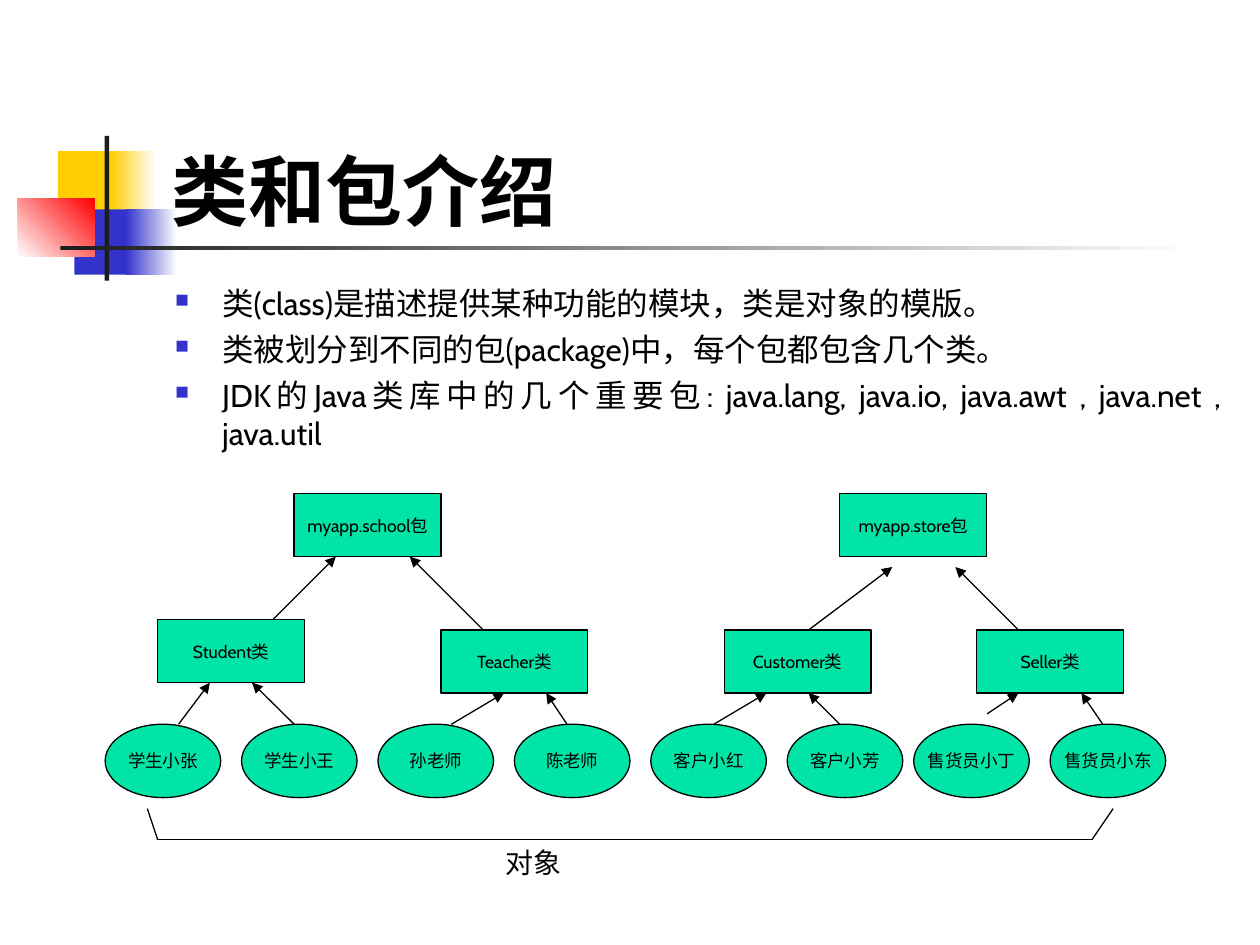
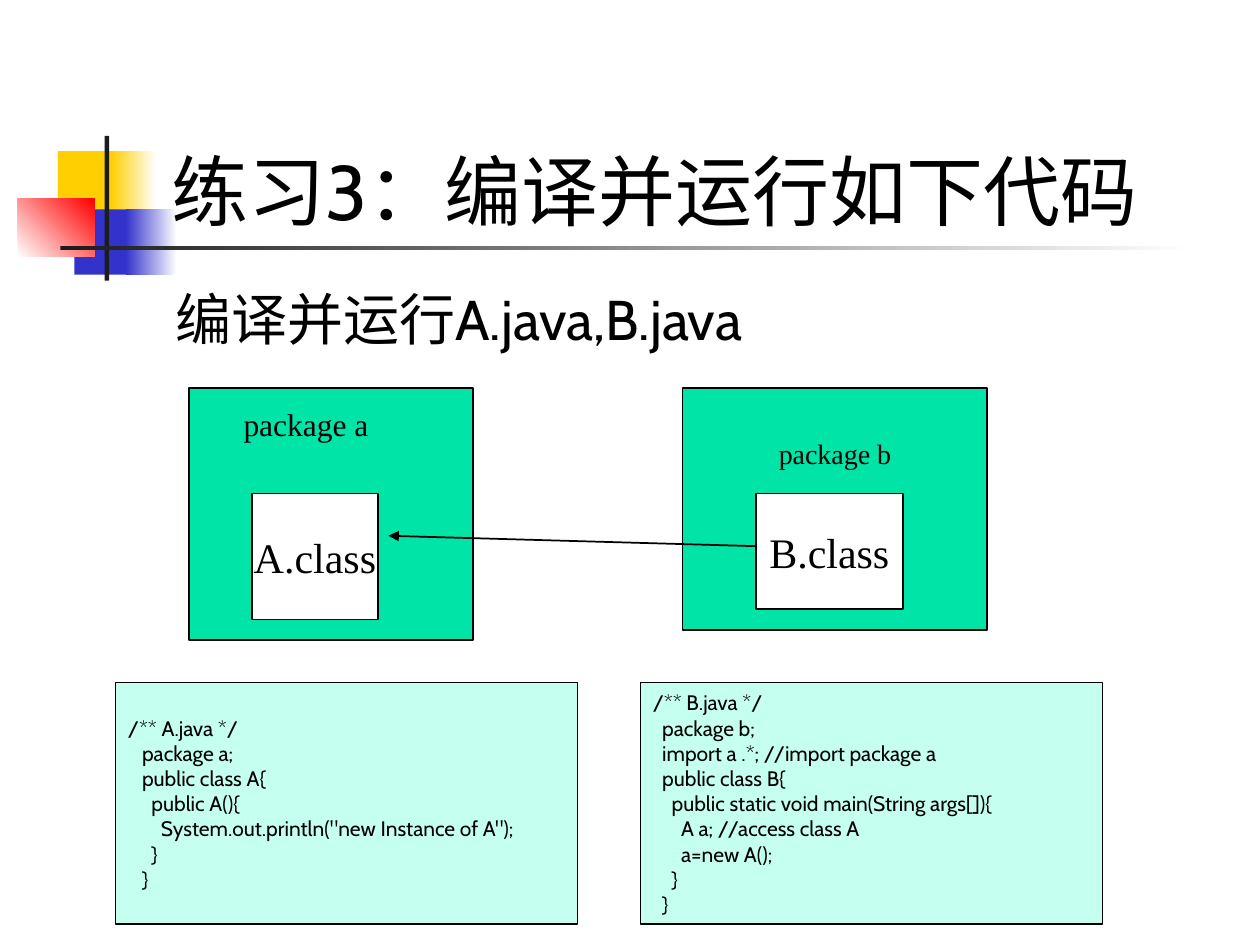
from dataclasses import dataclass
from itertools import pairwise

from lxml.etree import SubElement
from pptx import Presentation
from pptx.dml.color import RGBColor
from pptx.enum.shapes import MSO_CONNECTOR as Connector, MSO_SHAPE as Preset
from pptx.enum.text import MSO_ANCHOR as Anchor, PP_ALIGN as Align
from pptx.oxml.ns import qn
from pptx.shapes.autoshape import Shape
from pptx.slide import Slide
from pptx.util import Cm, Pt

COLORS = {
    "black": "000000",
    "white": "FFFFFF",
    "ink": "1C1C1C",
    "yellow": "FFCF01",
    "blue": "3333CC",
    "red": "FF0000",
    "green": "00E4A8",
    "mint": "C5FFF0",
}
SANS = "Cabin"
SERIF = "Times New Roman"

Point = tuple[float, float]


@dataclass(frozen=True)
class Area:
    """Left, top, width and height in centimetres."""
    left: float
    top: float
    width: float
    height: float

    def lengths(self) -> tuple[Cm, Cm, Cm, Cm]:
        return Cm(self.left), Cm(self.top), Cm(self.width), Cm(self.height)


@dataclass(frozen=True)
class TextStyle:
    size: float
    font: str = SANS
    bold: bool = False
    align: Align = Align.LEFT
    anchor: Anchor = Anchor.TOP
    wrap: bool = True
    space_before: float = 0
    bullet: bool = False


@dataclass(frozen=True)
class BandPart:
    area: Area
    start: str
    end: str | None = None
    angle: float = 0


@dataclass(frozen=True)
class ClassNode:
    """A class box with the left edge of its pair of objects."""
    name: str
    left: float
    top: float
    objects_left: float
    objects: tuple[str, str]


@dataclass(frozen=True)
class PackageBox:
    area: Area
    label: str
    label_area: Area
    label_size: float
    class_name: str
    class_area: Area


BAND = [
    BandPart(Area(1.17, 3.05, 1.22, 1.32), "yellow"),
    BandPart(Area(2.24, 3.05, 0.91, 1.32), "yellow", "white"),
    BandPart(Area(1.5, 4.22, 1.17, 1.32), "blue"),
    BandPart(Area(2.54, 4.22, 1.02, 1.32), "blue", "white"),
    BandPart(Area(0.36, 4.01, 1.55, 1.17), "white", "red", 45),
    BandPart(Area(2.11, 2.74, 0.09, 2.92), "ink"),
    BandPart(Area(1.22, 4.95, 22.86, 0.09), "ink", "white"),
]
TITLE_AREA = Area(3.2, 1.7, 21.64, 3.18)
BODY_AREA = Area(3.28, 5.61, 21.59, 11.43)

BULLETS = TextStyle(18, align=Align.JUSTIFY, space_before=4.5, bullet=True)
NODE = TextStyle(10, align=Align.CENTER, anchor=Anchor.MIDDLE, wrap=False)
CLASS_FILE = TextStyle(24, SERIF, align=Align.CENTER, anchor=Anchor.MIDDLE, wrap=False)
CODE = TextStyle(12, anchor=Anchor.MIDDLE)

INTRODUCTION = [
    "类(class)是描述提供某种功能的模块，类是对象的模版。",
    "类被划分到不同的包(package)中，每个包都包含几个类。",
    "JDK的Java类库中的几个重要包: java.lang, java.io, java.awt , java.net , java.util",
]
NODE_WIDTH, NODE_HEIGHT = 2.96, 1.27
OBJECT_WIDTH, OBJECT_HEIGHT = 2.33, 1.48
OBJECT_TOP, OBJECT_STEP = 14.6, 2.75
PACKAGE_TOP = 9.95
PACKAGES = [("myapp.school包", 5.93), ("myapp.store包", 16.93)]
CLASSES = [
    ClassNode("Student类", 3.18, 12.49, 2.12, ("学生小张", "学生小王")),
    ClassNode("Teacher类", 8.89, 12.7, 7.62, ("孙老师", "陈老师")),
    ClassNode("Customer类", 14.6, 12.7, 13.12, ("客户小红", "客户小芳")),
    ClassNode("Seller类", 19.69, 12.7, 18.42, ("售货员小丁", "售货员小东")),
]
TREE_ARROWS: list[tuple[Point, Point]] = [
    ((5.5, 12.49), (6.77, 11.22)),
    ((9.74, 12.7), (8.26, 11.22)),
    ((16.3, 12.7), (17.99, 11.43)),
    ((20.53, 12.7), (19.26, 11.43)),
    ((3.6, 14.6), (4.23, 13.76)),
    ((5.93, 14.6), (5.08, 13.76)),
    ((9.1, 14.6), (10.16, 13.97)),
    ((11.43, 14.6), (11.01, 13.97)),
    ((14.39, 14.6), (15.45, 13.97)),
    ((16.93, 14.6), (16.3, 13.97)),
    ((19.9, 14.39), (20.53, 13.97)),
    ((22.23, 14.6), (21.8, 13.97)),
]
OBJECT_BRACKET = [(2.97, 16.3), (3.18, 16.93), (22.01, 16.93), (22.44, 16.3)]

PACKAGE_BOXES = [
    PackageBox(Area(3.81, 7.83, 5.72, 5.08), "package a", Area(4.66, 8.04, 3.81, 1.02), 18,
               "A.class", Area(5.08, 9.95, 2.54, 2.54)),
    PackageBox(Area(13.76, 7.83, 6.14, 4.87), "package b", Area(15.45, 8.68, 3.39, 0.94), 16,
               "B.class", Area(15.24, 9.95, 2.96, 2.33)),
]
CODE_A = """/** A.java */
   package a;
   public class A{
     public A(){
       System.out.println("new Instance of A");
     }
   }"""
CODE_B = """/** B.java */
  package b;
  import a .*; //import package a
  public class B{
    public static void main(String args[]){
      A a; //access class A
      a=new A();
    }
  }"""


def rgb(name: str) -> RGBColor:
    return RGBColor.from_string(COLORS[name])


def add_bullet(paragraph) -> None:
    properties = paragraph._p.get_or_add_pPr()
    properties.set("marL", str(Cm(0.95)))
    properties.set("indent", str(Cm(-0.95)))
    color = SubElement(properties, qn("a:buClr"))
    SubElement(color, qn("a:srgbClr"), val=COLORS["blue"])
    SubElement(properties, qn("a:buSzPct"), val="60000")
    SubElement(properties, qn("a:buChar"), char="■")


def write(shape: Shape, lines: list[str], style: TextStyle) -> None:
    frame = shape.text_frame
    frame.word_wrap = style.wrap
    frame.vertical_anchor = style.anchor
    for index, line in enumerate(lines):
        paragraph = frame.add_paragraph() if index else frame.paragraphs[0]
        paragraph.alignment = style.align
        if index:
            paragraph.space_before = Pt(style.space_before)
        if style.bullet:
            add_bullet(paragraph)
        run = paragraph.add_run()
        run.text = line
        run.font.name = style.font
        run.font.size = Pt(style.size)
        run.font.bold = style.bold
        run.font.color.rgb = rgb("black")


def add_text(slide: Slide, area: Area, lines: list[str], style: TextStyle) -> None:
    write(slide.shapes.add_textbox(*area.lengths()), lines, style)


def add_box(slide: Slide, area: Area, fill: str, line_width: float = 0.75,
            preset: Preset = Preset.RECTANGLE) -> Shape:
    """Add a filled shape; a line width of 0 leaves out the outline."""
    shape = slide.shapes.add_shape(preset, *area.lengths())
    shape.shadow.inherit = False
    shape.fill.solid()
    shape.fill.fore_color.rgb = rgb(fill)
    if line_width:
        shape.line.color.rgb = rgb("black")
        shape.line.width = Pt(line_width)
    else:
        shape.line.fill.background()
    return shape


def add_line(slide: Slide, start: Point, end: Point, width: float = 0.75,
             arrow: bool = False) -> None:
    ends = [Cm(value) for value in (*start, *end)]
    connector = slide.shapes.add_connector(Connector.STRAIGHT, *ends)
    connector.line.color.rgb = rgb("black")
    connector.line.width = Pt(width)
    properties = connector.element.spPr
    if arrow:
        SubElement(properties.find(qn("a:ln")), qn("a:tailEnd"), type="triangle")
    SubElement(properties, qn("a:effectLst"))


def add_band(slide: Slide) -> None:
    for part in BAND:
        shape = add_box(slide, part.area, part.start, line_width=0)
        if part.end:
            shape.fill.gradient()
            shape.fill.gradient_angle = part.angle
            for stop, color in zip(shape.fill.gradient_stops, (part.start, part.end)):
                stop.color.rgb = rgb(color)


def add_titled_slide(presentation: Presentation, title: str, bold: bool = False) -> Slide:
    slide = presentation.slides.add_slide(presentation.slide_layouts[6])
    add_band(slide)
    add_text(slide, TITLE_AREA, [title], TextStyle(44, bold=bold, anchor=Anchor.BOTTOM))
    return slide


def build_class_tree(presentation: Presentation) -> None:
    slide = add_titled_slide(presentation, "类和包介绍", bold=True)
    add_text(slide, BODY_AREA, INTRODUCTION, BULLETS)
    boxes = [(name, left, PACKAGE_TOP) for name, left in PACKAGES]
    boxes += [(node.name, node.left, node.top) for node in CLASSES]
    for name, left, top in boxes:
        area = Area(left, top, NODE_WIDTH, NODE_HEIGHT)
        write(add_box(slide, area, "green"), [name], NODE)
    for node in CLASSES:
        for index, name in enumerate(node.objects):
            left = node.objects_left + index * OBJECT_STEP
            area = Area(left, OBJECT_TOP, OBJECT_WIDTH, OBJECT_HEIGHT)
            write(add_box(slide, area, "green", preset=Preset.OVAL), [name], NODE)
    for start, end in TREE_ARROWS:
        add_line(slide, start, end, arrow=True)
    for start, end in pairwise(OBJECT_BRACKET):
        add_line(slide, start, end)
    add_text(slide, Area(9.95, 16.93, 4.87, 0.94), ["对象"], TextStyle(16))


def build_exercise(presentation: Presentation) -> None:
    slide = add_titled_slide(presentation, "练习3：编译并运行如下代码")
    add_text(slide, BODY_AREA, ["编译并运行A.java,B.java"], TextStyle(32))
    for box in PACKAGE_BOXES:
        add_box(slide, box.area, "green", 1)
        write(add_box(slide, box.class_area, "white", 1), [box.class_name], CLASS_FILE)
        add_text(slide, box.label_area, [box.label], TextStyle(box.label_size, SERIF))
    add_line(slide, (15.24, 11.01), (7.83, 10.8), 1, arrow=True)
    for left, code in ((2.33, CODE_A), (12.91, CODE_B)):
        panel = add_box(slide, Area(left, 13.76, 9.31, 4.87), "mint")
        write(panel, code.splitlines(), CODE)


def main() -> None:
    presentation = Presentation()
    presentation.slide_width = Cm(25.4)
    presentation.slide_height = Cm(19.05)
    build_class_tree(presentation)
    build_exercise(presentation)
    presentation.save("out.pptx")


if __name__ == "__main__":
    main()
